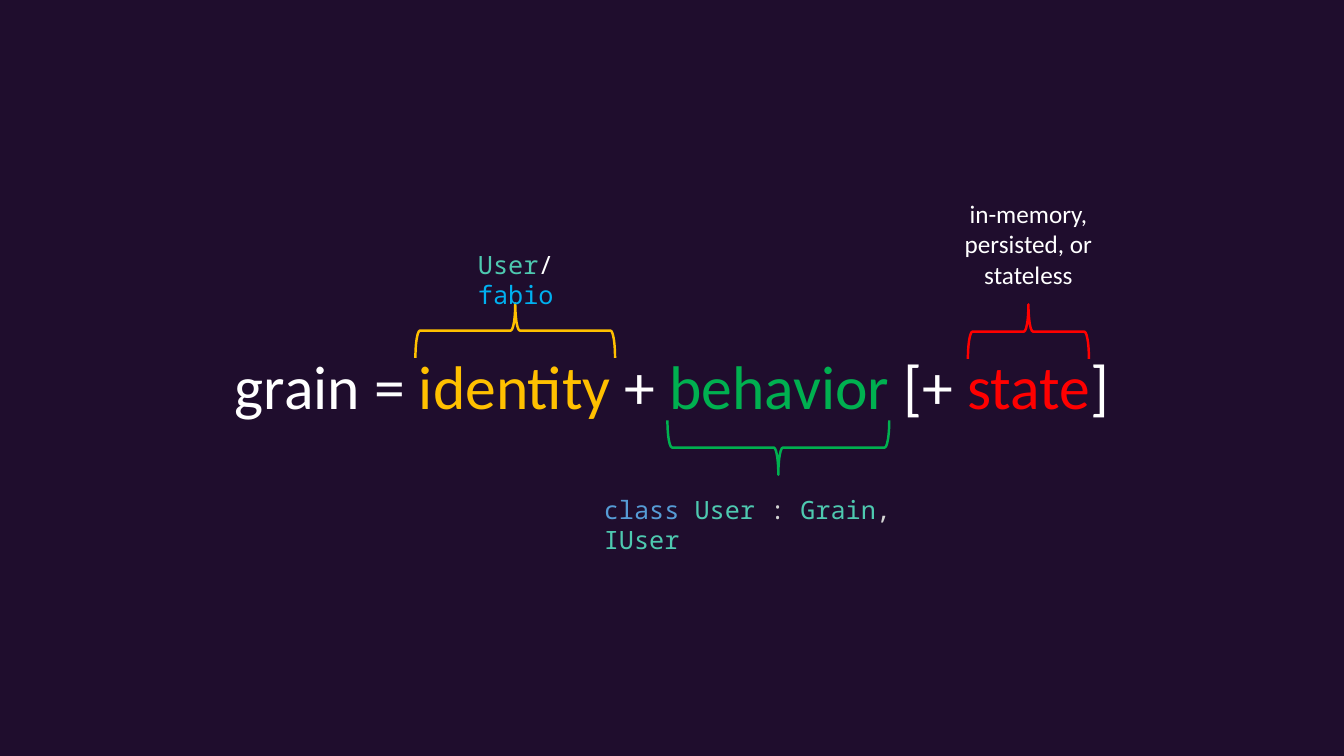
from pptx import Presentation
from pptx.dml.color import RGBColor
from pptx.enum.shapes import MSO_SHAPE
from pptx.enum.text import MSO_AUTO_SIZE, PP_ALIGN
from pptx.util import Inches, Pt

HUES = {
    "back": "1F0D2D",
    "white": "FFFFFF",
    "gold": "FFC000",
    "green": "00B050",
    "red": "FF0000",
    "teal": "4EC9B0",
    "sky": "00B0F0",
    "blue": "569CD6",
    "gray": "D4D4D4",
}
SANS, MONO = "Calibri", "Noto Sans Mono"
DEPTH = 0.54


def hue(name):
    return RGBColor.from_string(HUES[name])


def add_text(slide, box, parts, font=SANS, size=18, align=PP_ALIGN.CENTER):
    frame = slide.shapes.add_textbox(*map(Inches, box)).text_frame
    frame.word_wrap = True
    frame.auto_size = MSO_AUTO_SIZE.SHAPE_TO_FIT_TEXT
    line = frame.paragraphs[0]
    line.alignment = align
    line.font.name = font
    line.font.size = Pt(size)
    for words, color in parts:
        run = line.add_run()
        run.text = words
        run.font.color.rgb = hue(color)


def add_brace(slide, box, color, turn):
    left, top, width = box
    shift = (width - DEPTH) / 2
    brace = slide.shapes.add_shape(
        MSO_SHAPE.LEFT_BRACE,
        *map(Inches, (left + shift, top - shift, DEPTH, width)))
    brace.rotation = turn
    brace.shadow.inherit = False
    brace.fill.background()
    brace.line.color.rgb = hue(color)
    brace.line.width = Pt(1.75)


def add_note(slide, box, color, turn, label, parts, **style):
    left, top, _ = box
    right, down, width, height = label
    add_brace(slide, box, color, turn)
    add_text(slide, (left + right, top + down, width, height), parts, **style)


def add_terms(slide, box):
    add_text(slide, box, [
        ("grain = ", "white"), ("identity", "gold"), (" + ", "white"),
        ("behavior", "green"), (" [+ ", "white"), ("state", "red"),
        ("]", "white")], size=44)


def main():
    deck = Presentation()
    deck.slide_width, deck.slide_height = Inches(13.33), Inches(7.5)
    slide = deck.slides.add_slide(deck.slide_layouts[6])
    slide.background.fill.solid()
    slide.background.fill.fore_color.rgb = hue("back")

    add_terms(slide, (0, 3.4, 13.33, 0.84))
    add_note(slide, (4.12, 3.01, 1.98), "gold", 90, (0.15, -0.59, 1.69, 0.4),
             [("User", "teal"), ("/", "white"), ("fabio", "sky")], font=MONO)
    add_note(slide, (6.62, 4.17, 2.2), "green", 270, (-0.73, 0.68, 3.66, 0.4),
             [("class ", "blue"), ("User", "teal"), (" : ", "gray"),
              ("Grain", "teal"), (", ", "gray"), ("IUser", "teal")],
             font=MONO, align=PP_ALIGN.LEFT)
    add_note(slide, (9.6, 3.02, 1.2), "red", 90, (-0.18, -1.1, 1.56, 1.01),
             [("in-memory, persisted, or stateless", "white")])
    deck.save("out.pptx")


if __name__ == "__main__":
    main()
